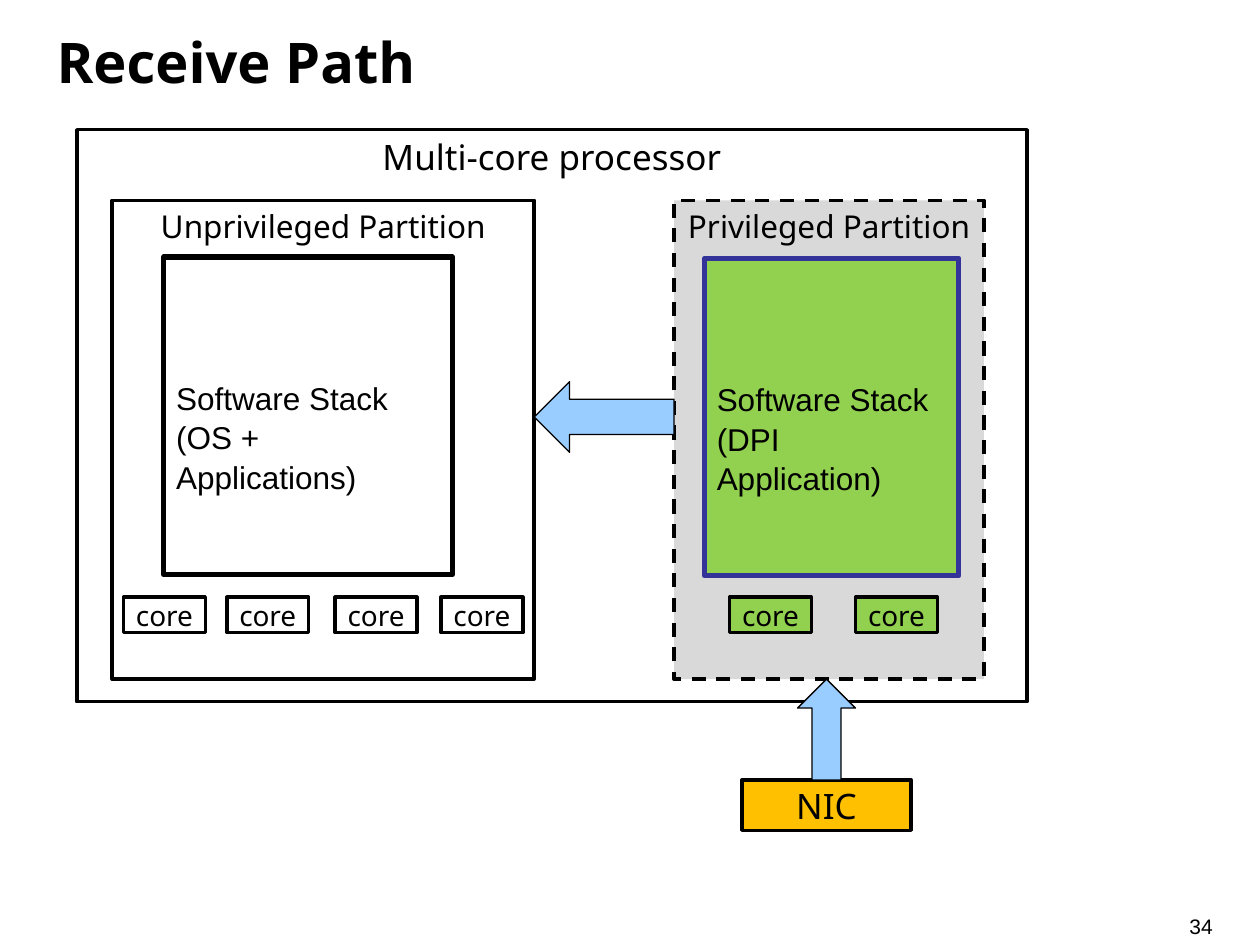
from pptx import Presentation
from pptx.dml.color import RGBColor
from pptx.enum.dml import MSO_LINE
from pptx.enum.shapes import MSO_SHAPE as Preset
from pptx.enum.text import MSO_ANCHOR as Anchor, PP_ALIGN as Align
from pptx.util import Inches, Pt

BLACK = RGBColor(0x00, 0x00, 0x00)
GREY = RGBColor(0xD9, 0xD9, 0xD9)
GREEN = RGBColor(0x92, 0xD0, 0x50)
INDIGO = RGBColor(0x33, 0x33, 0x99)
AMBER = RGBColor(0xFF, 0xC0, 0x00)
SKY = RGBColor(0x99, 0xCC, 0xFF)

COLUMNS, ROWS = 10, 7.5  # grid of one-inch cells


class Diagram:
    """Draws styled elements on one slide; places are (column, row, columns, rows)."""

    label_font = "Noto Sans"
    body_font = "Arial"

    def __init__(self, deck):
        """Add a blank slide and take the size of a grid cell."""
        self.slide = deck.slides.add_slide(deck.slide_layouts[6])
        self.column = deck.slide_width / COLUMNS
        self.row = deck.slide_height / ROWS

    def place(self, left, top, width, height):
        """Turn grid units into slide lengths."""
        return (round(left * self.column), round(top * self.row),
                round(width * self.column), round(height * self.row))

    def fill_text(self, element, text, size, font, align=Align.LEFT,
                  anchor=Anchor.TOP, insets=(0.1, 0.05, 0.1, 0.05),
                  bold=False, spacing=None):
        """Fill an element with formatted text."""
        frame = element.text_frame
        frame.text = text
        frame.word_wrap = True
        frame.vertical_anchor = anchor
        (frame.margin_left, frame.margin_top,
         frame.margin_right, frame.margin_bottom) = map(Inches, insets)
        for paragraph in frame.paragraphs:
            paragraph.alignment = align
            paragraph.line_spacing = spacing
            for run in paragraph.runs:
                run.font.name = font
                run.font.size = Pt(size)
                run.font.bold = bold
                run.font.color.rgb = BLACK

    def text(self, place, text, size, font, **style):
        """Add a plain text box."""
        self.fill_text(self.slide.shapes.add_textbox(*self.place(*place)),
                       text, size, font, **style)

    def shape(self, preset, place, fill=None, line=BLACK, weight=2.0):
        """Add a preset shape with the given fill and outline."""
        element = self.slide.shapes.add_shape(preset, *self.place(*place))
        element.shadow.inherit = False
        if fill is None:
            element.fill.background()
        else:
            element.fill.solid()
            element.fill.fore_color.rgb = fill
        element.line.color.rgb = line
        element.line.width = Pt(weight)
        return element

    def box(self, place, label, size, fill=None, anchor=Anchor.TOP, dashed=False):
        """Add a rectangle with a centred label."""
        element = self.shape(Preset.RECTANGLE, place, fill)
        if dashed:
            element.line.dash_style = MSO_LINE.DASH
        self.fill_text(element, label, size, self.label_font, Align.CENTER,
                       anchor, insets=(0.05,) * 4)

    def stack(self, place, text, fill=None, line=BLACK):
        """Add a software stack whose text starts below three lines' height."""
        element = self.shape(Preset.RECTANGLE, place, fill, line, weight=3)
        self.fill_text(element, text, 18, self.body_font,
                       insets=(0.1, 0.95, 0.1, 0.05), spacing=1.05)

    def cores(self, columns, fill=None):
        """Add a row of core boxes starting at the given columns."""
        for column in columns:
            self.box((column, 4.74, 0.65, 0.28), "core", 16, fill, Anchor.MIDDLE)

    def arrow(self, preset, place):
        """Add a block arrow."""
        self.shape(preset, place, SKY, weight=0.75)


def build():
    """Build the receive path slide and save it."""
    deck = Presentation()
    deck.slide_width, deck.slide_height = Inches(COLUMNS), Inches(ROWS)
    diagram = Diagram(deck)

    diagram.text((0.35, 0.07, 9.31, 0.83), "Receive Path", 32,
                 diagram.label_font, anchor=Anchor.MIDDLE, bold=True)
    diagram.text((9.44, 7.25, 0.51, 0.2), "34", 12, diagram.body_font,
                 insets=(0,) * 4)

    diagram.box((0.61, 1.03, 7.54, 4.54), "Multi-core processor", 20)
    diagram.box((0.89, 1.59, 3.35, 3.8), "Unprivileged Partition", 18)
    diagram.box((5.35, 1.59, 2.46, 3.8), "Privileged Partition", 18, GREY, dashed=True)
    diagram.box((5.89, 6.19, 1.34, 0.4), "NIC", 20, AMBER, Anchor.MIDDLE)

    diagram.stack((1.3, 2.04, 2.29, 2.52), "Software Stack\n(OS + Applications)")
    diagram.stack((5.59, 2.05, 2.02, 2.52), "Software Stack\n(DPI Application)",
                  GREEN, INDIGO)
    diagram.cores((0.98, 1.8, 2.66, 3.5))
    diagram.cores((5.79, 6.79), GREEN)

    diagram.arrow(Preset.LEFT_ARROW, (4.24, 3.03, 1.11, 0.56))
    diagram.arrow(Preset.UP_ARROW, (6.33, 5.39, 0.46, 0.8))

    deck.save("out.pptx")


build()
